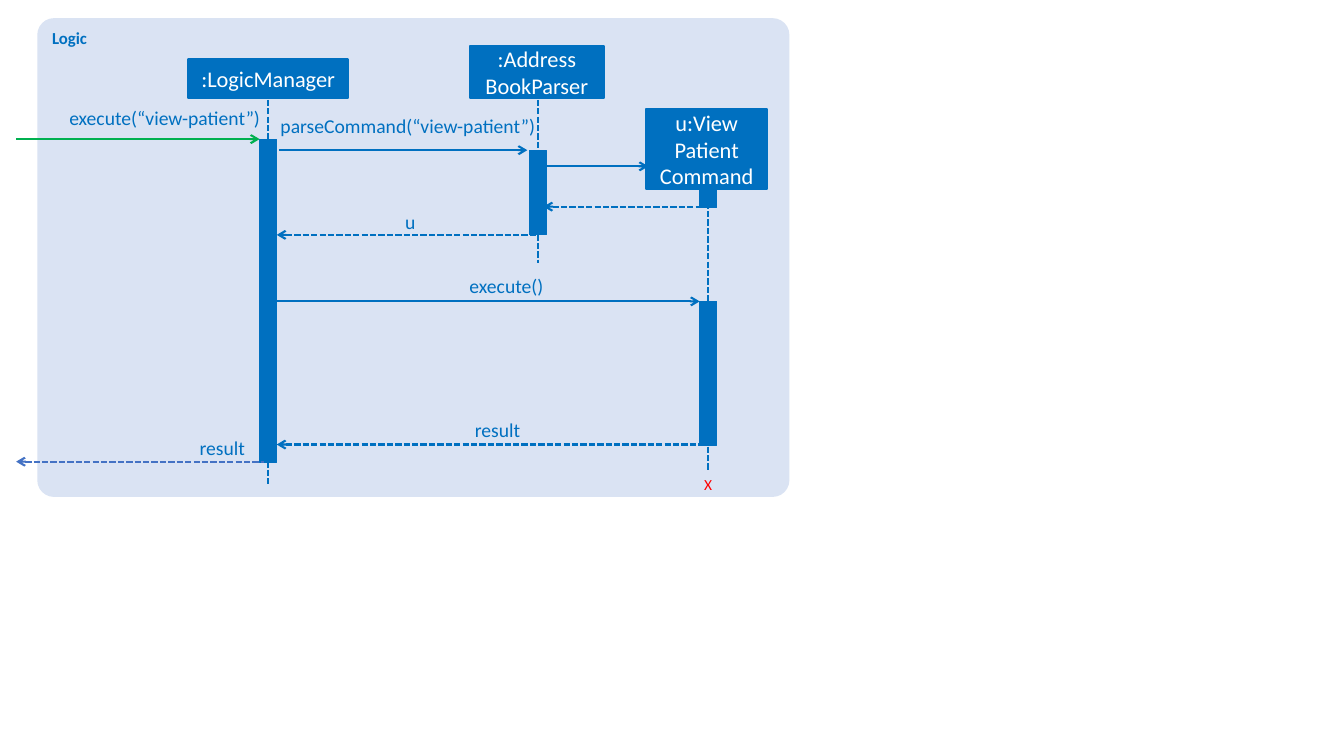
from lxml import etree
from pptx import Presentation, util as u
from pptx.dml.color import RGBColor
from pptx.enum import dml, shapes, text
from pptx.oxml.ns import qn

BLUE, PANEL, GREEN, INDIGO, RED, WHITE = (
    "0070C0", "DAE3F3", "00B050", "4472C4", "FF0000", "FFFFFF")
CELL = u.Inches(0.1)  # one column or row of the diagram grid
BAR = 1.7             # width of an activation bar
LEFT, CENTER, RIGHT = text.PP_ALIGN.LEFT, text.PP_ALIGN.CENTER, text.PP_ALIGN.RIGHT


def rgb(value):
    return RGBColor.from_string(value)


def place(origin, x, y):
    return round((origin[0] + x) * CELL), round((origin[1] + y) * CELL)


def size(w, h):
    return round(w * CELL), round(h * CELL)


def write(tf, lines, pt, color, align, bold=False):
    for i, line in enumerate(lines):
        p = tf.paragraphs[0] if i == 0 else tf.add_paragraph()
        p.alignment = align
        for j, part in enumerate(line.split("\n")):
            if j:
                p.add_line_break()
            r = p.add_run()
            r.text = part
            r.font.name, r.font.size, r.font.bold = "Calibri", u.Pt(pt), bold
            r.font.color.rgb = rgb(color)


def block(s, origin, x, y, w, h, fill=BLUE, line=None,
          kind=shapes.MSO_SHAPE.RECTANGLE):
    sp = s.shapes.add_shape(kind, *place(origin, x, y), *size(w, h))
    sp.shadow.inherit = False
    sp.fill.solid()
    sp.fill.fore_color.rgb = rgb(fill)
    if line:
        sp.line.color.rgb = rgb(fill)
        sp.line.width = u.Pt(line)
    else:
        sp.line.fill.background()
    return sp


def rule(s, origin, x1, y1, x2, y2, color=BLUE, dashed=False, arrow=None):
    c = s.shapes.add_connector(shapes.MSO_CONNECTOR.STRAIGHT,
                               *place(origin, x1, y1), *place(origin, x2, y2))
    c.line.color.rgb = rgb(color)
    c.line.width = u.Pt(1.5)
    if dashed:
        c.line.dash_style = dml.MSO_LINE.SQUARE_DOT
    if arrow:
        etree.SubElement(c.line._get_or_add_ln(), qn(f"a:{arrow}End"), type="arrow")
    etree.SubElement(c._element.spPr, qn("a:effectLst"))


def call(s, origin, x1, x2, y, color=BLUE):
    rule(s, origin, x1, y, x2, y, color, arrow="tail")


def reply(s, origin, x1, x2, y, color=BLUE):
    rule(s, origin, x1, y, x2, y, color, dashed=True, arrow="head")


def label(s, origin, right, y, w, words):
    tb = s.shapes.add_textbox(*place(origin, right - w, y), *size(w, 2.4))
    tf = tb.text_frame
    tf.word_wrap = True
    tf.margin_left = tf.margin_right = tf.margin_top = tf.margin_bottom = 0
    write(tf, [words], 14, BLUE, RIGHT)


def lifeline(s, origin, x, top, bottom, bars):
    rule(s, origin, x, top, x, bottom, dashed=True)
    for start, end in bars:
        block(s, origin, x - BAR / 2, start, BAR, end - start, line=0.5)


def participant(s, origin, x, y, w, h, lines):
    sp = block(s, origin, x - w / 2, y, w, h, line=1.5)
    sp.text_frame.word_wrap = True
    sp.text_frame.vertical_anchor = text.MSO_ANCHOR.MIDDLE
    write(sp.text_frame, lines, 16, WHITE, CENTER)


def sequence_diagram(s, left, top, w, h):
    o = (left, top)
    manager, parser, command = 22.9, 49.65, 66.55
    outside, half = -2.1, BAR / 2

    # Component panel
    sp = block(s, o, 0, 0, w, h, PANEL, kind=shapes.MSO_SHAPE.ROUNDED_RECTANGLE)
    sp.adjustments[0] = 0.035
    sp.text_frame.vertical_anchor = text.MSO_ANCHOR.TOP
    write(sp.text_frame, ["Logic"], 12, BLUE, LEFT, bold=True)

    # Lifelines and activation bars
    lifeline(s, o, manager, 8.1, 46.2, [(12, 44.1)])
    lifeline(s, o, parser, 8.1, 24.3, [(13.1, 21.5)])
    lifeline(s, o, command, 15.8, 44.8, [(15.8, 18.8), (28.1, 42.4)])

    # Messages
    call(s, o, outside, manager - half, 12, GREEN)
    call(s, o, manager + half + 0.2, parser - half - 0.2, 13.1)
    call(s, o, parser + half, 60.6, 14.7)
    reply(s, o, parser + half - 0.3, command, 18.7)
    reply(s, o, manager + half, parser, 21.5)
    call(s, o, manager + half, command - half, 28.1)
    reply(s, o, manager + half, command - half, 42.3)
    reply(s, o, outside, manager - half + 0.4, 44, INDIGO)

    # Message labels: right edge, top, width, words
    for right, y, width, words in [
            (22.1, 8.7, 22.8, "execute(“view-patient”)"),
            (49.4, 9.5, 28.8, "parseCommand(“view-patient”)"),
            (37.5, 19, 2.4, "u"),
            (50.2, 25.4, 9.4, "execute()"),
            (47.9, 39.7, 6.8, "result"),
            (20.6, 41.4, 8.3, "result")]:
        label(s, o, right, y, width, words)

    # Participants
    participant(s, o, manager, 4.1, 15.9, 3.8, [":LogicManager"])
    participant(s, o, parser - 0.1, 2.8, 13.3, 5.1, [":Address", "BookParser"])
    participant(s, o, command - 0.15, 9, 12, 8, ["u:View", "Patient\nCommand"])

    # End of the command's life
    tb = s.shapes.add_textbox(*place(o, command - 1.4, 44.8), *size(2.8, 2.9))
    tb.text_frame.word_wrap = False
    write(tb.text_frame, ["X"], 11, RED, LEFT)


prs = Presentation()
prs.slide_width, prs.slide_height = u.Inches(13.33), u.Inches(7.5)
slide = prs.slides.add_slide(prs.slide_layouts[6])
sequence_diagram(slide, 3.7, 1.8, 74.6, 47.5)
prs.save("out.pptx")
